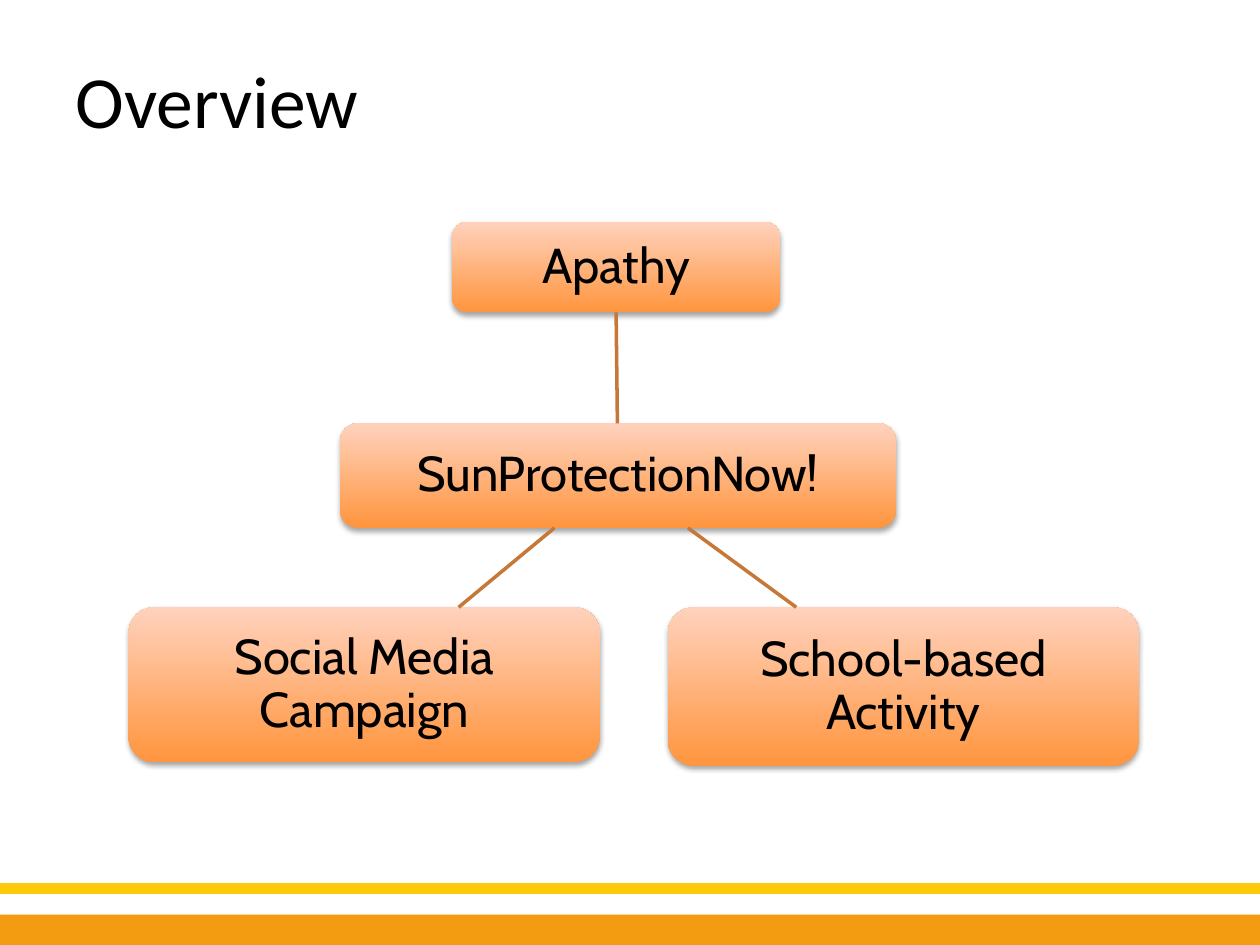
from dataclasses import dataclass

from lxml import etree
from pptx import Presentation
from pptx.dml.color import RGBColor
from pptx.enum.shapes import MSO_CONNECTOR, MSO_SHAPE
from pptx.enum.text import MSO_ANCHOR, MSO_AUTO_SIZE, PP_ALIGN
from pptx.oxml.ns import qn
from pptx.shapes.autoshape import Shape
from pptx.shapes.connector import Connector
from pptx.slide import Slide
from pptx.text.text import Font
from pptx.util import Inches, Pt

STRAIGHT = MSO_CONNECTOR.STRAIGHT
RECTANGLE = MSO_SHAPE.RECTANGLE
ROUNDED = MSO_SHAPE.ROUNDED_RECTANGLE
TOP, MIDDLE = MSO_ANCHOR.TOP, MSO_ANCHOR.MIDDLE
FIT_SHAPE = MSO_AUTO_SIZE.SHAPE_TO_FIT_TEXT
LEFT, CENTER = PP_ALIGN.LEFT, PP_ALIGN.CENTER


@dataclass(frozen=True)
class Theme:
    text: str = "000000"
    node_bottom: str = "FF953E"
    node_top: str = "FFD2BD"
    link: str = "C67838"
    stripe: str = "FDC90A"
    footer: str = "F39C12"
    shadow: str = "000000"
    title_font: str = "Calibri"
    node_font: str = "Cabin"
    title_size: float = 42
    node_size: float = 28


@dataclass(frozen=True)
class Node:
    text: str
    left: float
    top: float
    width: float
    height: float


@dataclass(frozen=True)
class Line:
    start: tuple[float, float]
    end: tuple[float, float]
    color: str
    weight: float


THEME = Theme()
BAND_WIDTH = 10.02

NODES = [
    Node("Apathy", 3.59, 1.76, 2.6, 0.72),
    Node("SunProtectionNow!", 2.7, 3.36, 4.41, 0.83),
    Node("Social Media Campaign", 1.02, 4.82, 3.74, 1.23),
    Node("School-based Activity", 5.3, 4.82, 3.74, 1.26),
]

STRIPE = Line((0, 7.05), (BAND_WIDTH, 7.05), THEME.stripe, 6)
LINKS = [
    Line((4.9, 3.36), (4.89, 2.48), THEME.link, 2),
    Line((4.4, 4.19), (3.64, 4.82), THEME.link, 2),
    Line((5.46, 4.19), (6.32, 4.82), THEME.link, 2),
]


def style_font(font: Font, name: str, size: float) -> None:
    font.name = name
    font.size = Pt(size)
    font.color.rgb = RGBColor.from_string(THEME.text)


def add_soft_shadow(shape: Shape) -> None:
    shape.shadow.inherit = False
    effects = shape.element.spPr.find(qn("a:effectLst"))
    shadow = etree.SubElement(
        effects,
        qn("a:outerShdw"),
        blurRad=str(Pt(3.1)),
        dist=str(Pt(1.8)),
        dir="5400000",
        rotWithShape="0",
    )
    color = etree.SubElement(shadow, qn("a:srgbClr"), val=THEME.shadow)
    etree.SubElement(color, qn("a:alpha"), val="35000")


def add_line(slide: Slide, line: Line) -> Connector:
    points = [Inches(value) for value in (*line.start, *line.end)]
    connector = slide.shapes.add_connector(STRAIGHT, *points)
    connector.line.color.rgb = RGBColor.from_string(line.color)
    connector.line.width = Pt(line.weight)
    etree.SubElement(connector.element.spPr, qn("a:effectLst"))
    return connector


def add_footer(slide: Slide) -> None:
    add_line(slide, STRIPE)
    footer = slide.shapes.add_shape(
        RECTANGLE, 0, Inches(7.26), Inches(BAND_WIDTH), Inches(0.24)
    )
    footer.fill.solid()
    footer.fill.fore_color.rgb = RGBColor.from_string(THEME.footer)
    footer.line.fill.background()
    add_soft_shadow(footer)


def add_title(slide: Slide, text: str) -> None:
    title = slide.shapes.title
    title.left, title.top = Inches(0.5), Inches(0.39)
    title.width, title.height = Inches(7.94), Inches(0.81)
    frame = title.text_frame
    frame.text = text
    frame.word_wrap = True
    frame.auto_size = FIT_SHAPE
    frame.vertical_anchor = TOP
    paragraph = frame.paragraphs[0]
    paragraph.alignment = LEFT
    style_font(paragraph.runs[0].font, THEME.title_font, THEME.title_size)


def add_node(slide: Slide, node: Node) -> None:
    shape = slide.shapes.add_shape(
        ROUNDED,
        Inches(node.left),
        Inches(node.top),
        Inches(node.width),
        Inches(node.height),
    )
    shape.fill.gradient()
    shape.fill.gradient_angle = 90
    colors = (THEME.node_bottom, THEME.node_top)
    for stop, color in zip(shape.fill.gradient_stops, colors):
        stop.color.rgb = RGBColor.from_string(color)
    shape.line.fill.background()
    add_soft_shadow(shape)

    frame = shape.text_frame
    frame.text = node.text
    frame.word_wrap = True
    frame.vertical_anchor = MIDDLE
    frame.margin_left = frame.margin_right = Inches(0.08)
    frame.margin_top = frame.margin_bottom = Inches(0.08)
    paragraph = frame.paragraphs[0]
    paragraph.alignment = CENTER
    paragraph.line_spacing = 0.9
    style_font(paragraph.runs[0].font, THEME.node_font, THEME.node_size)


def main() -> None:
    presentation = Presentation()
    presentation.slide_width = Inches(10)
    presentation.slide_height = Inches(7.5)
    slide = presentation.slides.add_slide(presentation.slide_layouts[5])
    add_footer(slide)
    add_title(slide, "Overview")
    for node in NODES:
        add_node(slide, node)
    for link in LINKS:
        add_line(slide, link)
    presentation.save("out.pptx")


if __name__ == "__main__":
    main()
